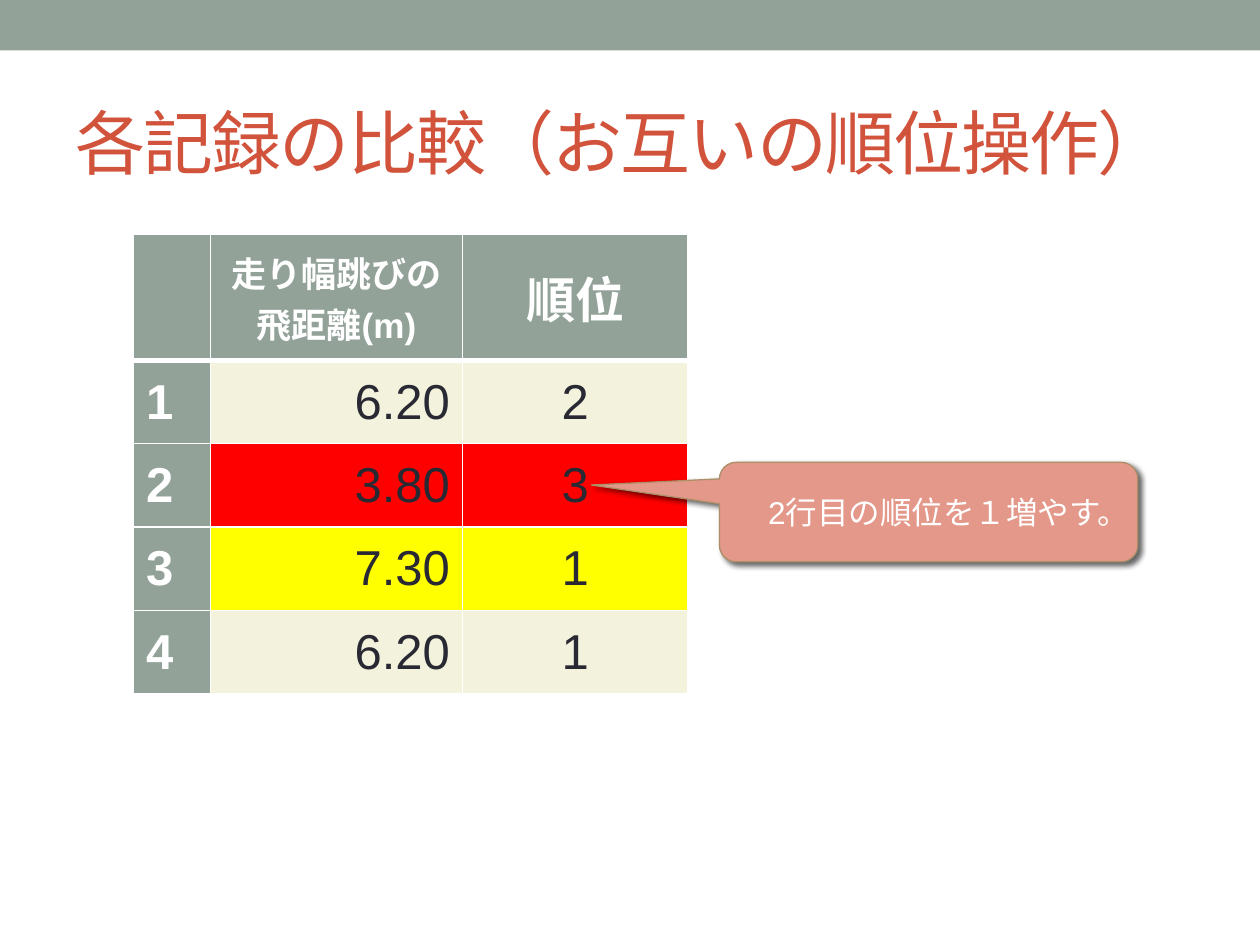
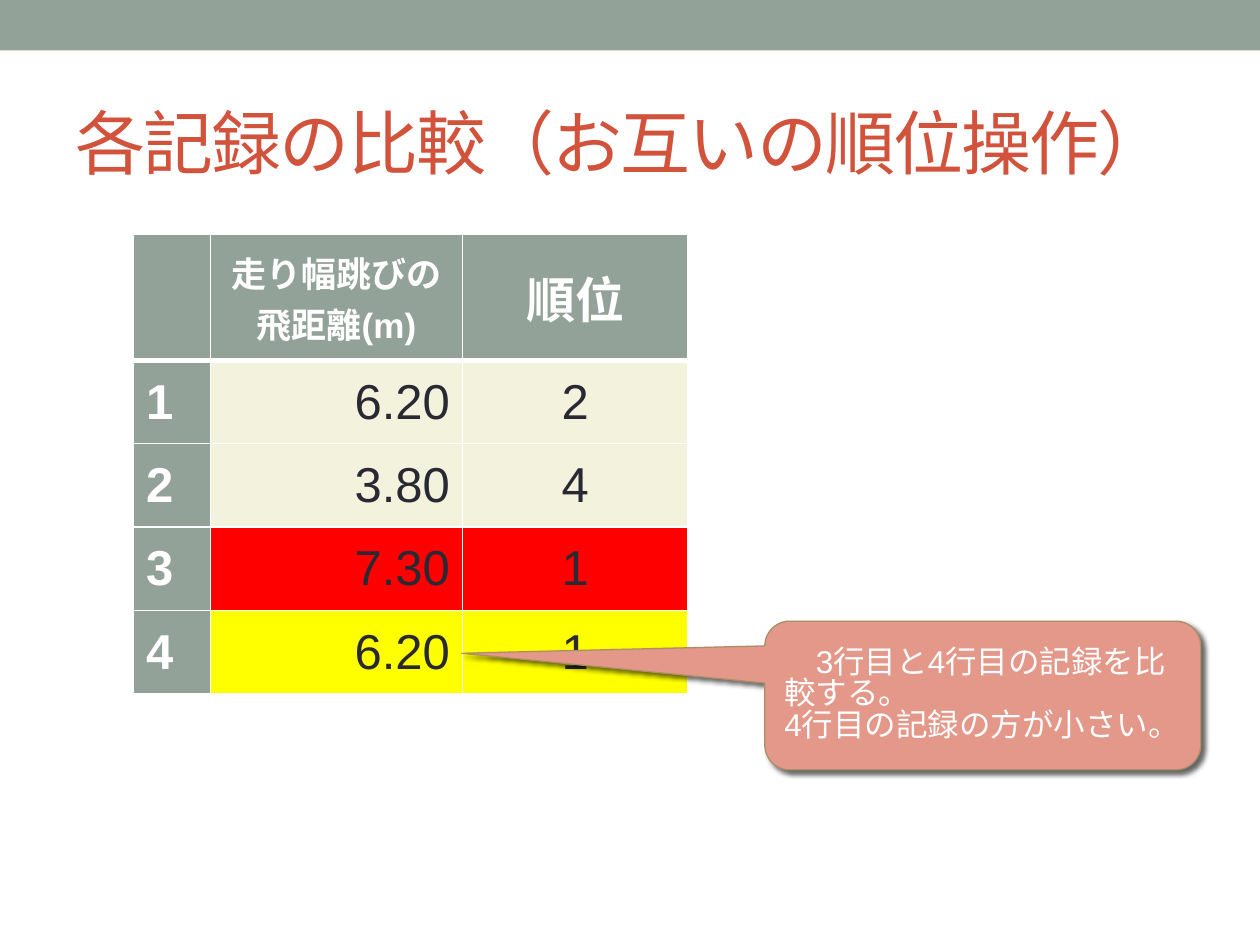
from lxml import etree
from pptx import Presentation
from pptx.dml.color import RGBColor
from pptx.enum.shapes import MSO_SHAPE
from pptx.enum.text import MSO_ANCHOR, PP_ALIGN
from pptx.oxml import parse_xml
from pptx.oxml.ns import qn
from pptx.util import Inches, Pt

RECTANGLE = MSO_SHAPE.RECTANGLE
CALLOUT = MSO_SHAPE.ROUNDED_RECTANGULAR_CALLOUT
MIDDLE = MSO_ANCHOR.MIDDLE
LEFT, CENTER, RIGHT = PP_ALIGN.LEFT, PP_ALIGN.CENTER, PP_ALIGN.RIGHT

FONT = "Arial"
SAGE = RGBColor(0x93, 0xA2, 0x99)
RUST = RGBColor(0xD2, 0x53, 0x3C)
SALMON = RGBColor(0xE4, 0x98, 0x8A)
TAN = RGBColor(0xAD, 0x8F, 0x67)
CREAM = RGBColor(0xF3, 0xF2, 0xDC)
RED = RGBColor(0xFF, 0x00, 0x00)
YELLOW = RGBColor(0xFF, 0xFF, 0x00)
INK = RGBColor(0x29, 0x29, 0x34)
WHITE = RGBColor(0xFF, 0xFF, 0xFF)

DRAWING = "http://schemas.openxmlformats.org/drawingml/2006/main"
SHADOW = (
    f'<a:effectLst xmlns:a="{DRAWING}">'
    '<a:outerShdw blurRad="38100" dist="25400" dir="2700000" rotWithShape="0">'
    '<a:srgbClr val="000000"><a:alpha val="60000"/></a:srgbClr>'
    '</a:outerShdw></a:effectLst>'
)

TITLE = "各記録の比較（お互いの順位操作）"
HEADER = ["", "走り幅跳びの\n飛距離(m)", "順位"]
HEADER_SIZES = [28, 20, 28]
DISTANCES = ["6.20", "3.80", "7.30", "6.20"]
ALIGNMENTS = [LEFT, RIGHT, CENTER]
COLUMN_SPANS = [6.1, 20, 17.9]
ROW_SPANS = [13.33] + [8.83] * 4

STEPS = [
    {
        "ranks": ["2", "3", "1", "1"],
        "highlights": {2: RED, 3: YELLOW},
        "note": "　2行目の順位を１増やす。",
        "place": (57.1, 48.93, 33.2, 10.53),
        "tip": (-0.806, -0.272),
        "spacing": 1.0,
    },
    {
        "ranks": ["2", "4", "1", "1"],
        "highlights": {3: RED, 4: YELLOW},
        "note": "　3行目と4行目の記録を比較する。\n4行目の記録の方が小さい。",
        "place": (60.7, 65.73, 34.6, 15.73),
        "tip": (-1.195, -0.284),
        "spacing": 0.83,
    },
]

deck = Presentation()
deck.slide_width, deck.slide_height = Inches(10), Inches(7.5)
COLUMN = deck.slide_width / 100
ROW = deck.slide_height / 100


def grid(left, top, width, height):
    return [round(n * unit) for n, unit in
            ((left, COLUMN), (top, ROW), (width, COLUMN), (height, ROW))]


def write(frame, text, size, color, align=LEFT, bold=False, spacing=None):
    frame.text = text
    frame.word_wrap = True
    for para in frame.paragraphs:
        para.alignment = align
        para.line_spacing = spacing
        for span in para.runs:
            span.font.name = FONT
            span.font.size = Pt(size)
            span.font.bold = bold
            span.font.color.rgb = color


for step in STEPS:
    page = deck.slides.add_slide(deck.slide_layouts[6])

    band = page.shapes.add_shape(RECTANGLE, *grid(0, 0, 100, 5.33))
    band.shadow.inherit = False
    band.fill.solid()
    band.fill.fore_color.rgb = SAGE
    band.line.fill.background()

    rows = [HEADER] + [
        [str(number), distance, rank]
        for number, (distance, rank) in enumerate(zip(DISTANCES, step["ranks"]), 1)
    ]
    table = page.shapes.add_table(
        len(rows), len(HEADER),
        *grid(10.6, 24.8, sum(COLUMN_SPANS), sum(ROW_SPANS))).table
    for column, span_width in zip(table.columns, COLUMN_SPANS):
        column.width = round(span_width * COLUMN)
    for row, span_height in zip(table.rows, ROW_SPANS):
        row.height = round(span_height * ROW)

    for r, values in enumerate(rows):
        for c, value in enumerate(values):
            cell = table.cell(r, c)
            heading = r == 0 or c == 0
            write(cell.text_frame, value, HEADER_SIZES[c] if r == 0 else 28,
                  WHITE if heading else INK,
                  CENTER if r == 0 else ALIGNMENTS[c], heading)
            cell.vertical_anchor = MIDDLE
            properties = cell._tc.get_or_add_tcPr()
            for side in "LRTB":
                thick = (r, side) in ((0, "B"), (1, "T"))
                border = etree.SubElement(
                    properties, qn(f"a:ln{side}"), w=str(Pt(3 if thick else 1)))
                paint = etree.SubElement(border, qn("a:solidFill"))
                etree.SubElement(paint, qn("a:srgbClr"), val=str(WHITE))
            cell.fill.solid()
            cell.fill.fore_color.rgb = (
                SAGE if heading else step["highlights"].get(r, CREAM))

    title = page.shapes.add_textbox(*grid(5, 7.73, 90, 14.4))
    title.text_frame.vertical_anchor = MIDDLE
    write(title.text_frame, TITLE, 40, RUST)
    title.text_frame.paragraphs[0].runs[0].font._element.set("spc", "-100")

    note = page.shapes.add_shape(CALLOUT, *grid(*step["place"]))
    note.adjustments[0], note.adjustments[1] = step["tip"]
    note.adjustments[2] = 0.167
    note.fill.solid()
    note.fill.fore_color.rgb = SALMON
    note.line.color.rgb = TAN
    note.line.width = Pt(0.75)
    note._element.spPr.append(parse_xml(SHADOW))
    note.text_frame.vertical_anchor = MIDDLE
    write(note.text_frame, step["note"], 18, WHITE, spacing=step["spacing"])

deck.save("out.pptx")
